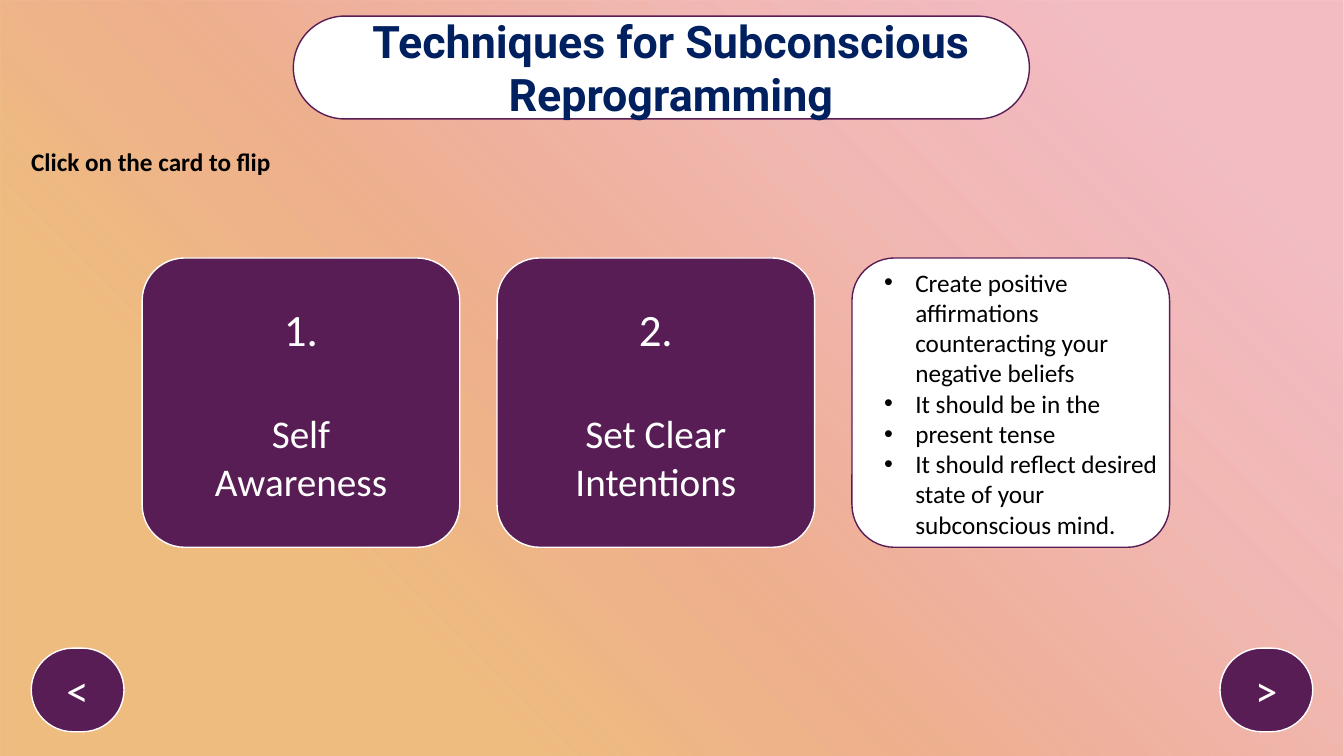
from lxml import etree
from pptx import Presentation
from pptx.dml.color import RGBColor
from pptx.enum import shapes, text
from pptx.oxml import parse_xml
from pptx.oxml.ns import nsdecls, qn
from pptx.util import Inches, Pt

PLUM, WHITE, BLACK, NAVY = "581D55", "FFFFFF", "000000", "002060"

deck = Presentation()
deck.slide_width, deck.slide_height = Inches(13.33), Inches(7.5)
slide = deck.slides.add_slide(deck.slide_layouts[6])


def panel(x, y, w, h, curve, fill=PLUM, line=WHITE):
    """Add a rounded rectangle with a thin outline."""
    box = slide.shapes.add_shape(shapes.MSO_SHAPE.ROUNDED_RECTANGLE,
                                 Inches(x), Inches(y), Inches(w), Inches(h))
    box.adjustments[0] = curve
    box.shadow.inherit = False
    box.fill.solid()
    box.fill.fore_color.rgb = RGBColor.from_string(fill)
    box.line.color.rgb = RGBColor.from_string(line)
    box.line.width = Pt(1)
    return box


def write(para, words, size, color, font="Calibri", bold=False, center=True):
    para.text = words
    para.font.size, para.font.name, para.font.bold = Pt(size), font, bold
    para.font.color.rgb = RGBColor.from_string(color)
    align = text.PP_ALIGN
    para.alignment = align.CENTER if center else align.LEFT


# Backdrop: see-through gradient rising to the top right
back = panel(0, 0, 13.33, 7.5, 0)
back.line.fill.background()
stops = [(26, "EBAE65", 82), (45, "E89265", 72),
         (65, "E47465", 51), (87, "E05365", 38)]
marks = "".join(
    f'<a:gs pos="{pos * 1000}"><a:srgbClr val="{color}">'
    f'<a:alpha val="{alpha * 1000}"/></a:srgbClr></a:gs>'
    for pos, color, alpha in stops)
grad = parse_xml(f'<a:gradFill {nsdecls("a")} rotWithShape="1"><a:gsLst>{marks}'
                 '</a:gsLst><a:lin ang="18900000" scaled="0"/></a:gradFill>')
solid = back.fill._xPr.find(qn("a:solidFill"))
solid.getparent().replace(solid, grad)

# Title
panel(2.91, 0.16, 7.3, 1.02, 0.5, WHITE, PLUM)
title = slide.shapes.add_textbox(Inches(3.23), Inches(0.33), Inches(6.85), Inches(0.67))
frame = title.text_frame
frame.word_wrap = True
frame.vertical_anchor = text.MSO_ANCHOR.MIDDLE
frame.margin_left = frame.margin_right = Inches(0.13)
frame.margin_top = frame.margin_bottom = Inches(0.06)
write(frame.paragraphs[0], "Techniques for Subconscious Reprogramming", 32, NAVY, "Roboto", True)

# Hint
hint = slide.shapes.add_textbox(Inches(0.21), Inches(1.4), Inches(3.15), Inches(0.4))
hint.text_frame.word_wrap = True
write(hint.text_frame.paragraphs[0], "Click on the card to flip", 18, BLACK, bold=True, center=False)

# Page buttons
for x, sign in [(0.31, "<"), (12.1, ">")]:
    button = panel(x, 6.43, 0.92, 0.83, 0.5)
    write(button.text_frame.paragraphs[0], sign, 32, WHITE)

# Cards
left, step, top, wide, high, curve = 1.41, 3.52, 2.56, 3.15, 2.87, 0.147
for i, name in enumerate(["Self\vAwareness", "Set Clear Intentions"]):
    card = panel(left + i * step, top, wide, high, curve)
    frame = card.text_frame
    write(frame.paragraphs[0], f"{i + 1}.", 32, WHITE)
    label = frame.add_paragraph()
    write(label, name, 28, WHITE)
    label.space_before = Pt(39)

# Flipped card
panel(left + 2 * step, top, wide, high, curve, WHITE, PLUM)
notes = slide.shapes.add_textbox(Inches(8.67), Inches(2.6), Inches(2.94), Inches(2.83))
frame = notes.text_frame
frame.word_wrap = True
points = ["Create positive affirmations counteracting your negative beliefs",
          "It should be in the",
          "present tense",
          "It should reflect desired state of your subconscious mind."]
for i, point in enumerate(points):
    para = frame.add_paragraph() if i else frame.paragraphs[0]
    props = para._p.get_or_add_pPr()
    props.set("marL", str(Inches(0.31)))
    props.set("indent", str(Inches(-0.31)))
    etree.SubElement(props, qn("a:buFont")).set("typeface", "Arial")
    etree.SubElement(props, qn("a:buChar")).set("char", "•")
    write(para, point, 18, BLACK, center=False)

deck.save("out.pptx")
